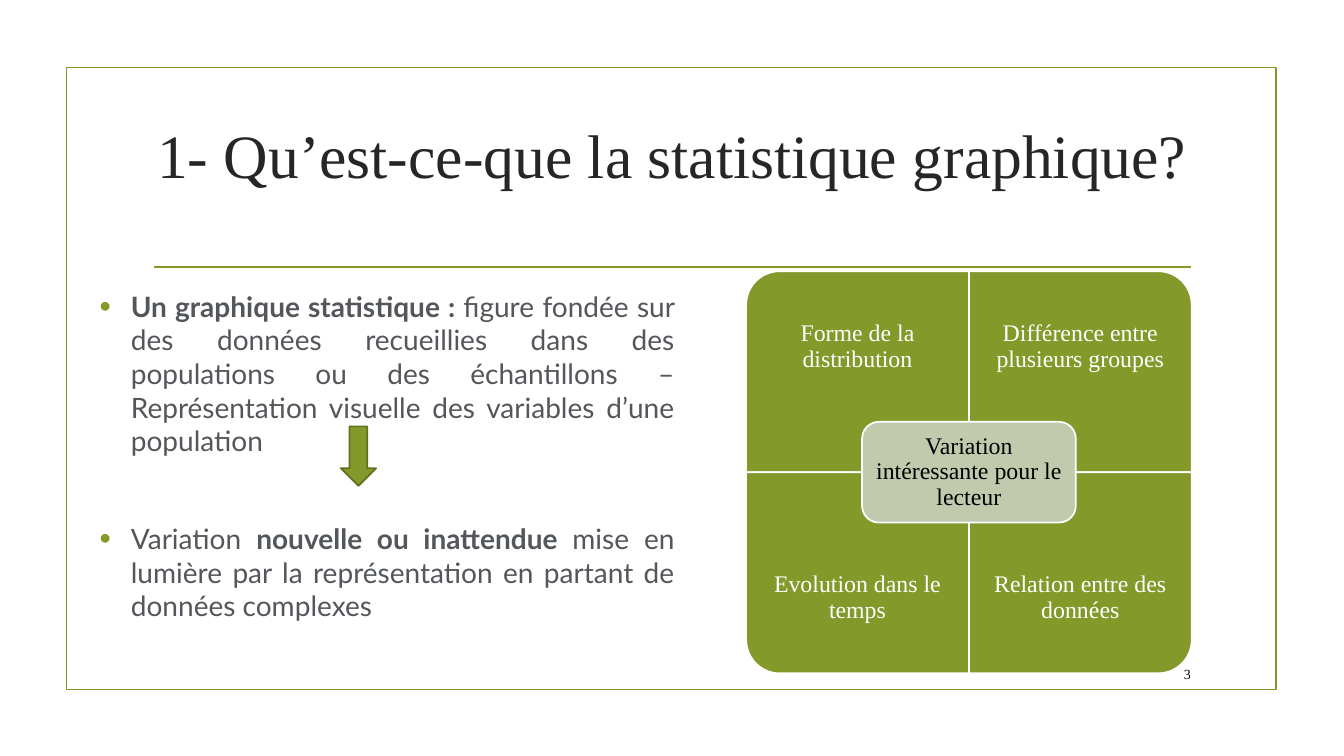
from lxml import etree
from pptx import Presentation
from pptx.dml.color import RGBColor
from pptx.enum.shapes import MSO_CONNECTOR, MSO_SHAPE
from pptx.enum.text import MSO_ANCHOR, PP_ALIGN
from pptx.oxml.ns import qn
from pptx.util import Inches, Pt

RECT, ROUND = MSO_SHAPE.RECTANGLE, MSO_SHAPE.ROUNDED_RECTANGLE
CORNER, DOWN = MSO_SHAPE.ROUND_1_RECTANGLE, MSO_SHAPE.DOWN_ARROW
STRAIGHT = MSO_CONNECTOR.STRAIGHT
TOP, MIDDLE = MSO_ANCHOR.TOP, MSO_ANCHOR.MIDDLE
CENTER, RIGHT, JUSTIFY = PP_ALIGN.CENTER, PP_ALIGN.RIGHT, PP_ALIGN.JUSTIFY

COLORS = {"green": "83992A", "edge": "61711F", "sage": "C1CAAD", "white": "FFFFFF",
          "black": "000000", "title": "262626", "body": "53565A"}
SERIF, SANS = "Times New Roman", "Lato"
BULLETS = [
    [("Un graphique statistique : ", True),
     ("figure fondée sur des données recueillies dans des populations ou des "
      "échantillons – Représentation visuelle des variables d’une population", False)],
    [("Variation ", False), ("nouvelle ou inattendue ", True),
     ("mise en lumière par la représentation en partant de données complexes", False)],
]
TILES = [("Forme de la distribution", 270), ("Différence entre plusieurs groupes", 0),
         ("Evolution dans le temps", 180), ("Relation entre des données", 90)]


def color(name):
    """Return the named colour."""
    return RGBColor.from_string(COLORS[name])


def apply(item, values):
    """Set each attribute of item from a dict of values."""
    for key, value in values.items():
        setattr(item, key, value)


def style(font, size, face, tint, bold=False):
    """Format a font."""
    apply(font, {"size": Pt(size), "name": face, "bold": bold})
    font.color.rgb = color(tint)


def shape(slide, kind, box, fill, line, turn=0):
    """Draw a preset shape in box."""
    item = slide.shapes.add_shape(kind, *map(Inches, box))
    item.shadow.inherit = False
    item.rotation = turn
    if fill:
        item.fill.solid()
        item.fill.fore_color.rgb = color(fill)
    else:
        item.fill.background()
    item.line.color.rgb = color(line)
    item.line.width = Pt(1.25)


def frame(slide, box, anchor, side=0.1, edge=0.05):
    """Add an empty text box and return its text frame."""
    text = slide.shapes.add_textbox(*map(Inches, box)).text_frame
    apply(text, {"word_wrap": True, "vertical_anchor": anchor,
                 "margin_left": Inches(side), "margin_right": Inches(side),
                 "margin_top": Inches(edge), "margin_bottom": Inches(edge)})
    return text


def label(slide, box, words, size, tint, align=CENTER, side=0.1, edge=0.05, pitch=1.0):
    """Write one serif paragraph, centred in height, in box."""
    para = frame(slide, box, MIDDLE, side, edge).paragraphs[0]
    apply(para, {"text": words, "alignment": align, "line_spacing": pitch})
    style(para.runs[0].font, size, SERIF, tint)


def bullet(para):
    """Give a paragraph a hanging green bullet."""
    props = para._p.get_or_add_pPr()
    props.set("marL", str(Inches(0.31)))
    props.set("indent", str(-Inches(0.31)))
    tint = etree.SubElement(props, qn("a:buClr"))
    etree.SubElement(tint, qn("a:srgbClr"), val=COLORS["green"])
    etree.SubElement(props, qn("a:buSzPct"), val="115000")
    etree.SubElement(props, qn("a:buFont"), typeface="Arial")
    etree.SubElement(props, qn("a:buChar"), char="•")


def header(slide, box):
    """Place the title and the rule under it."""
    left, top, width, height = box
    label(slide, box, "1- Qu’est-ce-que la statistique graphique?", 44, "title", side=0.05)
    level = Inches(top + height + 0.41)
    rule = slide.shapes.add_connector(STRAIGHT, Inches(left + 0.11), level,
                                      Inches(left + width - 0.11), level)
    rule.line.color.rgb = color("green")
    rule.line.width = Pt(1.25)
    etree.SubElement(rule._element.spPr, qn("a:effectLst"))


def body(slide, box):
    """Place the two bullets and the arrow between them."""
    left, top = box[:2]
    text = frame(slide, box, TOP)
    for index, parts in enumerate(BULLETS):
        para = text.add_paragraph() if index else text.paragraphs[0]
        bullet(para)
        apply(para, {"alignment": JUSTIFY, "space_after": Pt(6),
                     "space_before": Pt(40 * index)})
        for words, bold in parts:
            run = para.add_run()
            run.text = words
            style(run.font, 20, SANS, "body", bold)
    shape(slide, DOWN, (left + 2.49, top + 1.41, 0.35, 0.59), "green", "edge")


def matrix(slide, box):
    """Place four rounded tiles around a central label."""
    left, top, width, height = box
    wide, high = width / 2, height / 2
    for index, (words, turn) in enumerate(TILES):
        row, col = divmod(index, 2)
        x, y = left + col * wide, top + row * high
        across, down = (high, wide) if turn % 180 else (wide, high)
        place = (x + (wide - across) / 2, y + (high - down) / 2, across, down)
        shape(slide, CORNER, place, "green", "white", turn)
        label(slide, (x, y + row * high / 4, wide, high * 0.75), words, 17, "white",
              side=0.13, edge=0.13, pitch=0.9)
    core = (left + wide - 1.06, top + high - 0.5, 2.12, 1)
    shape(slide, ROUND, core, "sage", "white")
    label(slide, core, "Variation intéressante pour le lecteur", 17, "black",
          side=0.12, edge=0.12, pitch=0.9)


def main():
    """Build and save the slide."""
    deck = Presentation()
    apply(deck, {"slide_width": Inches(13.33), "slide_height": Inches(7.5)})
    slide = deck.slides.add_slide(deck.slide_layouts[6])
    shape(slide, RECT, (0.66, 0.67, 12, 6.17), None, "green")
    header(slide, (1.42, 0.81, 10.5, 1.43))
    body(slide, (0.89, 2.82, 5.9, 3.73))
    label(slide, (11.32, 6.53, 0.59, 0.31), "3", 10, "black", RIGHT)
    matrix(slide, (7.4, 2.69, 4.42, 3.99))
    deck.save("out.pptx")


if __name__ == "__main__":
    main()
